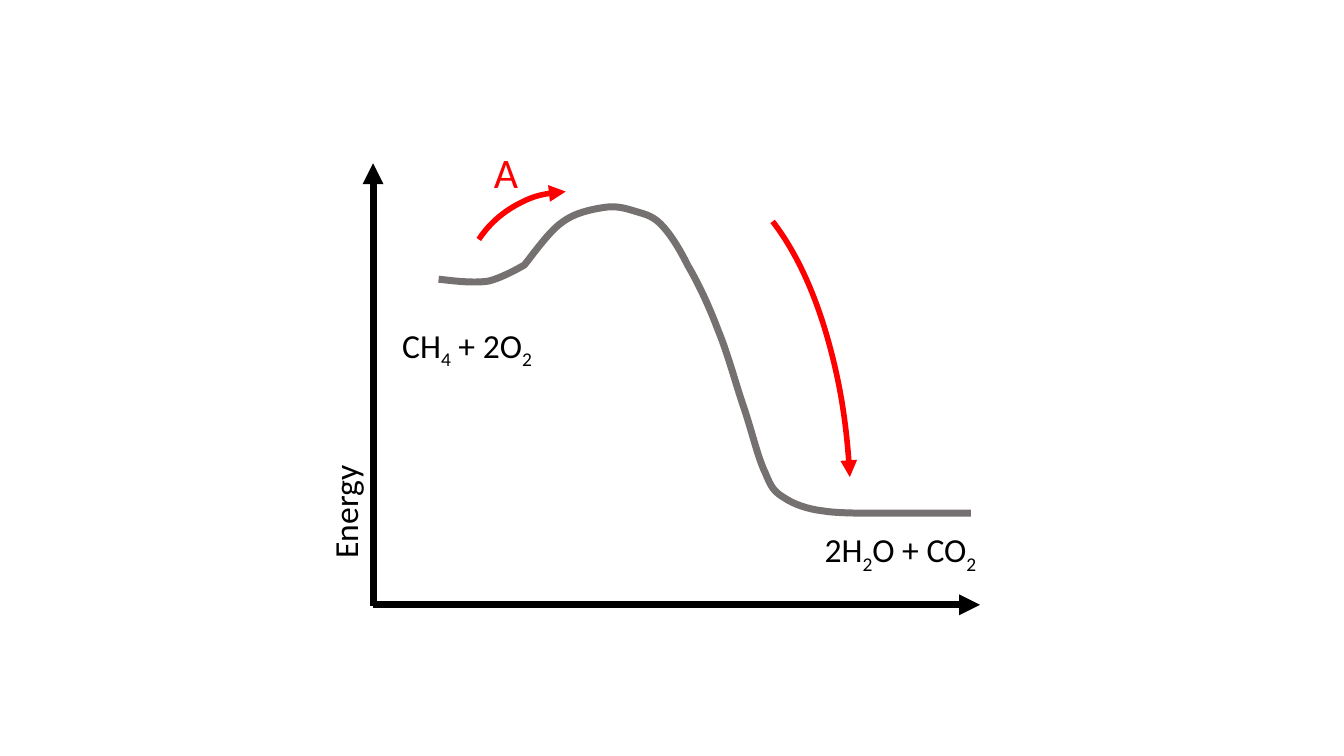
from lxml import etree
from pptx import Presentation
from pptx.dml.color import RGBColor
from pptx.enum.shapes import MSO_CONNECTOR, MSO_SHAPE
from pptx.enum.text import MSO_AUTO_SIZE
from pptx.oxml.ns import qn
from pptx.util import Pt

PX = 9144  # EMU per px, 100 px to the inch
STRAIGHT = MSO_CONNECTOR.STRAIGHT
ARC = MSO_SHAPE.ARC
FIT_TEXT = MSO_AUTO_SIZE.SHAPE_TO_FIT_TEXT
FONT = "Calibri"
COLORS = {"axis": "000000", "curve": "767171", "accent": "FF0000"}

ORIGIN = (370, 600)
CURVE_START = (435, 277)
# Each row: two control points and the end point of one Bézier segment
CURVE_SEGMENTS = [
    [(452, 279), (469, 281), (484, 279)],
    [(498, 276), (520, 263), (520, 263)],
    [(526, 256), (544, 230), (557, 221)],
    [(570, 211), (586, 208), (598, 206)],
    [(610, 204), (618, 206), (628, 209)],
    [(637, 212), (646, 213), (655, 222)],
    [(664, 231), (673, 245), (682, 263)],
    [(692, 280), (703, 303), (712, 327)],
    [(722, 351), (730, 382), (738, 405)],
    [(746, 429), (752, 455), (759, 469)],
    [(765, 484), (768, 488), (778, 494)],
    [(787, 500), (800, 505), (817, 507)],
    [(834, 510), (880, 509), (880, 509)],
]
CURVE_END = (963, 509)


def emu(*lengths):
    return [length * PX for length in lengths]


def style_line(shape, color, width, arrow=False):
    shape.line.color.rgb = RGBColor.from_string(COLORS[color])
    shape.line.width = Pt(width)
    if arrow:
        outline = shape._element.spPr.find(qn("a:ln"))
        etree.SubElement(outline, qn("a:tailEnd"), type="triangle")


def add_axis(slide, start, end):
    axis = slide.shapes.add_connector(STRAIGHT, *emu(*start, *end))
    style_line(axis, "axis", 5, arrow=True)
    etree.SubElement(axis._element.spPr, qn("a:effectLst"))


def add_arc_arrow(slide, box, start_degrees, end_degrees):
    arc = slide.shapes.add_shape(ARC, *emu(*box))
    # One adjustment unit is 100000 / 60000 of a degree
    arc.adjustments[0] = start_degrees * 0.6
    arc.adjustments[1] = end_degrees * 0.6
    arc.fill.background()
    arc.shadow.inherit = False
    style_line(arc, "accent", 4, arrow=True)


def add_energy_curve(slide):
    """Draw the segments as straight lines, then join each three into a Bézier."""
    points = [point for segment in CURVE_SEGMENTS for point in segment]
    builder = slide.shapes.build_freeform(*CURVE_START, scale=PX)
    builder.add_line_segments(points + [CURVE_END], close=False)
    curve = builder.convert_to_shape()
    lines = list(curve._element.iter(qn("a:lnTo")))
    for first in range(0, len(points), 3):
        bezier = etree.Element(qn("a:cubicBezTo"))
        lines[first].addprevious(bezier)
        for line in lines[first:first + 3]:
            bezier.append(line[0])
            line.getparent().remove(line)
    curve.fill.background()
    curve.shadow.inherit = False
    style_line(curve, "curve", 5)


def add_label(slide, box, parts, size=24, color="axis", rotation=0):
    """Write parts as runs; every second part is a subscript."""
    label = slide.shapes.add_textbox(*emu(*box))
    label.rotation = rotation
    frame = label.text_frame
    frame.word_wrap = True
    frame.auto_size = FIT_TEXT
    for index, part in enumerate(parts):
        run = frame.paragraphs[0].add_run()
        run.text = part
        run.font.name = FONT
        run.font.size = Pt(size)
        run.font.color.rgb = RGBColor.from_string(COLORS[color])
        if index % 2:
            run.font._element.set("baseline", "-25000")


def main():
    deck = Presentation()
    deck.slide_width, deck.slide_height = emu(1333, 750)
    slide = deck.slides.add_slide(deck.slide_layouts[6])

    add_axis(slide, (370, 601), (370, 162))
    add_label(slide, (256, 453, 172, 50), ["Energy"], rotation=270)
    add_axis(slide, ORIGIN, (972, 600))
    add_energy_curve(slide)
    add_label(slide, (808, 520, 244, 50), ["2H", "2", "O + CO", "2"])
    add_arc_arrow(slide, (459, 190, 212, 201), 210.41, 267.74)
    add_arc_arrow(slide, (521, 170, 323, 684), 286.01, 346.44)
    add_label(slide, (389, 317, 212, 50), ["CH", "4", " + 2O", "2"])
    add_label(slide, (480, 140, 106, 61), ["A"], size=30, color="accent")

    deck.save("out.pptx")


if __name__ == "__main__":
    main()
